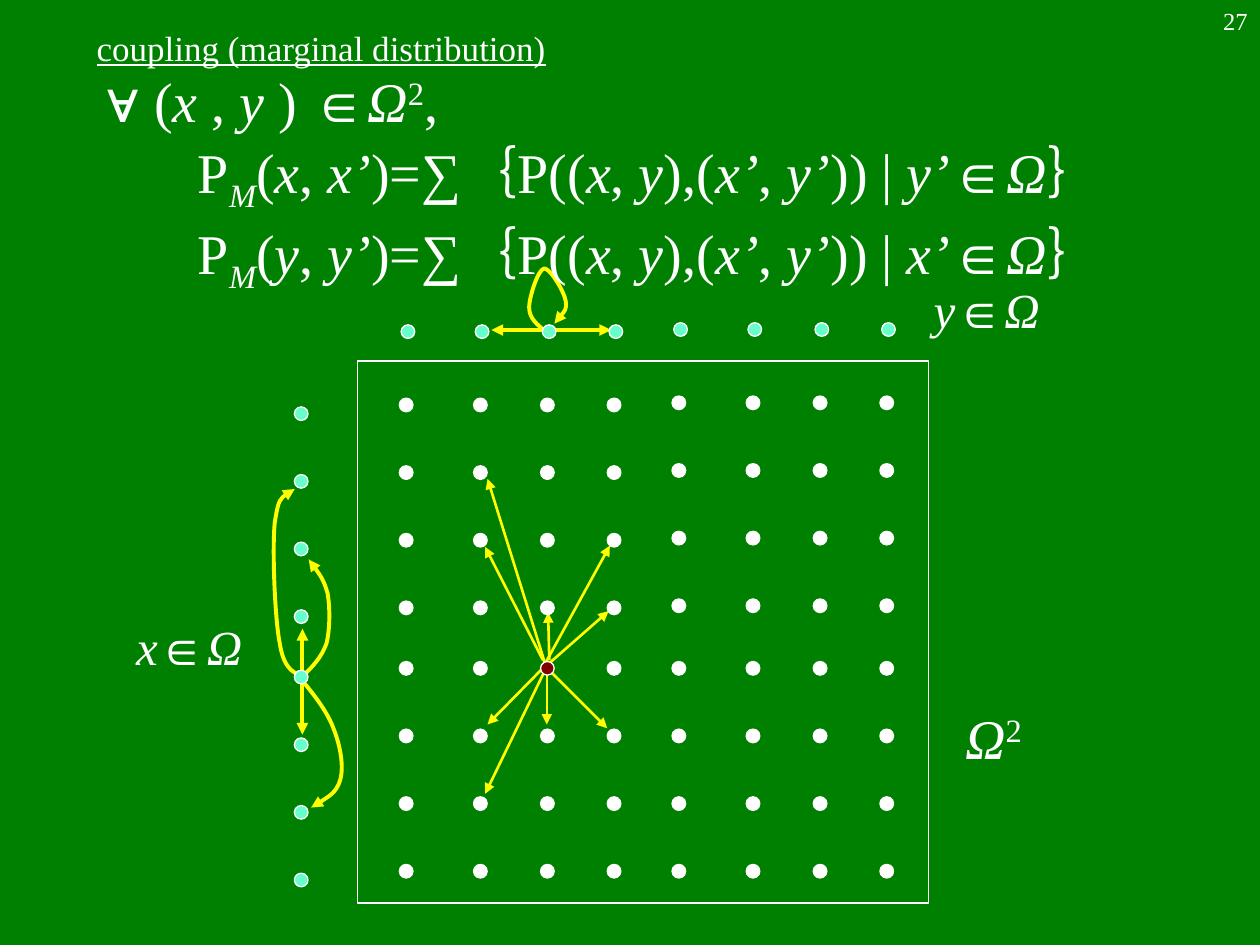
import lxml.etree
import pptx
import pptx.dml.color
import pptx.enum.shapes
import pptx.enum.text
import pptx.oxml.ns
import pptx.util

Pt = pptx.util.Pt
RGB = pptx.dml.color.RGBColor.from_string
qn = pptx.oxml.ns.qn
MSO = pptx.enum.shapes.MSO_SHAPE
ALIGN = pptx.enum.text.PP_ALIGN
COLORS = {"board": "008000", "chalk": "FFFFFF", "arrow": "FFFF00",
          "marginal": "66FFCC", "state": "800000"}
BASELINES = {"sup": "30000", "sub": "-25000"}


def add_runs(p, size, runs):
    for text, style in runs:
        r = p.add_run()
        r.text = text
        r.font.name = "Times New Roman"
        r.font.size = Pt(size)
        r.font.bold = False
        r.font.italic = "i" in style.split()
        r.font.color.rgb = RGB(COLORS["chalk"])
        for word in style.split():
            if word in BASELINES:
                r.font._element.set("baseline", BASELINES[word])


def style_arrow(sp, width):
    sp.line.color.rgb = RGB(COLORS["arrow"])
    sp.line.width = Pt(width)
    spPr = sp._element.spPr
    lxml.etree.SubElement(spPr.find(qn("a:ln")), qn("a:tailEnd"), type="triangle")
    if spPr.find(qn("a:effectLst")) is None:
        lxml.etree.SubElement(spPr, qn("a:effectLst"))


prs = pptx.Presentation()
prs.slide_width, prs.slide_height = Pt(720), Pt(540)
s = prs.slides.add_slide(prs.slide_layouts[5])
s.background.fill.solid()
s.background.fill.fore_color.rgb = RGB(COLORS["board"])

moves = [
    (311.8, 378.7, 348.5, 311.8, 1.5),
    (313.9, 377.3, 313.2, 349.9, 1.5),
    (313.2, 382.3, 347, 416.2, 1.5),
    (311.8, 382.3, 277.2, 453.6, 1.5),
    (311.8, 380.2, 278.6, 273.6, 1.5),
    (312.5, 380.2, 347.8, 349.2, 1.5),
    (312.5, 383, 312.5, 414, 1.5),
    (310.3, 377.3, 277.2, 312.5, 1.5),
    (311.8, 380.2, 278.6, 414, 1.5),
    (313.9, 188.6, 349.2, 188.6, 2.25),
    (313.9, 188.6, 280.8, 188.6, 2.25),
    (172.8, 385.9, 172.8, 359.3, 2.25),
    (172.8, 385.9, 172.8, 419.8, 2.25),
]
for x1, y1, x2, y2, width in moves:
    sp = s.shapes.add_connector(pptx.enum.shapes.MSO_CONNECTOR.STRAIGHT,
                                Pt(x1), Pt(y1), Pt(x2), Pt(y2))
    style_arrow(sp, width)

curves = [
    [(311.8, 189.4), (307.4, 185.8), (302.4, 182.2), (302.4, 175.7),
     (302.4, 169.9), (307.4, 154.1), (311, 153.4),
     (314.6, 153.4), (322.6, 167), (323.3, 172.1),
     (324, 177.1), (320.4, 180.7), (316.8, 185)],
    [(173.5, 385.9), (178.6, 380.9), (183.6, 375.8), (186.5, 367.9),
     (188.6, 360), (188.6, 347), (187.2, 339.1),
     (185, 331.2), (180.7, 325.4), (176.4, 319.7)],
    [(171.4, 385.9), (167, 383.8), (162, 381.6), (159.8, 367.2),
     (157, 352.8), (155.5, 313.9), (157, 298.8),
     (159.1, 284.4), (163.4, 281.5), (168.5, 279.4)],
    [(171.4, 387.4), (179.3, 396.7), (187.2, 406.8), (190.8, 416.9),
     (194.4, 426.2), (196.6, 437.8), (194.4, 445.7),
     (192.2, 452.9), (185, 457.2), (177.8, 461.5)],
]
for points in curves:
    start, *rest = [(Pt(x), Pt(y)) for x, y in points]
    builder = s.shapes.build_freeform(*start)
    builder.add_line_segments(rest, close=False)
    sp = builder.convert_to_shape()
    sp.shadow.inherit = False
    sp.fill.background()
    outline = sp._element.find(".//" + qn("a:path"))
    segments = outline.findall(qn("a:lnTo"))
    for i in range(0, len(segments), 3):
        bezier = lxml.etree.SubElement(outline, qn("a:cubicBezTo"))
        for segment in segments[i:i + 3]:
            bezier.append(segment[0])
            outline.remove(segment)
    style_arrow(sp, 2.25)

title = s.shapes.title
title.left, title.top, title.width, title.height = Pt(48), Pt(18), Pt(462), Pt(18)
tf = title.text_frame
tf.word_wrap = True
tf.auto_size = pptx.enum.text.MSO_AUTO_SIZE.NONE
tf.vertical_anchor = pptx.enum.text.MSO_ANCHOR.MIDDLE
p = tf.paragraphs[0]
p.alignment = ALIGN.LEFT
add_runs(p, 20, [("coupling (marginal distribution)", "")])
p.runs[0].font.underline = True

tf = s.shapes.add_textbox(Pt(54), Pt(48), Pt(666), Pt(444)).text_frame
tf.word_wrap = True
p = tf.paragraphs[0]
p.line_spacing = 0.6
add_runs(p, 32, [("∀ (", ""), ("x", "i"), (" , ", ""), ("y ", "i"), (") ∈", ""),
                 ("Ω", "i"), ("2", "sup"), (",", "")])
for kept, summed, spacing in [("x", "y’", 0.8), ("y", "x’", 0.9)]:
    p = tf.add_paragraph()
    p.line_spacing = spacing
    p.space_before = Pt(8)
    pPr = p._p.get_or_add_pPr()
    pPr.set("marL", str(Pt(58.3)))
    pPr.set("indent", str(Pt(-6.3)))
    add_runs(p, 32, [
        ("P", ""), ("M", "i sub"), ("(", ""), (kept, "i"), (", ", ""), (kept + "’", "i"),
        (")=∑｛P((", ""), ("x", "i"), (", ", ""), ("y", "i"), ("),(", ""), ("x’", "i"),
        (", ", ""), ("y’", "i"), (")) | ", ""), (summed, "i"), ("∈", ""), ("Ω", "i"),
        ("｝", "")])

steps = [0, 42.4, 80.7, 118.8]
cols = [228.2 + d for d in steps] + [384 + d for d in steps]
rows = [227.5 + 38.65 * i for i in range(4)] + [378 + 38.65 * i for i in range(4)]
dots = []
for i, x in enumerate(cols):
    for j, y in enumerate(rows):
        raised = 1.2 if i > 3 and j < 4 else 0
        color = "state" if (i, j) == (2, 4) else "chalk"
        dots.append((x, y - raised, color))
    dots.append((x + 1, 185.6 if i < 4 else 184.4, "marginal"))
dots += [(168.2, y + 5, "marginal") for y in rows]
for x, y, color in dots:
    sp = s.shapes.add_shape(MSO.OVAL, Pt(x), Pt(y), Pt(7.8), Pt(7.8))
    sp.shadow.inherit = False
    sp.fill.solid()
    sp.fill.fore_color.rgb = RGB(COLORS[color])
    sp.line.color.rgb = RGB(COLORS["chalk"])
    sp.line.width = Pt(0.75)

sp = s.shapes.add_shape(MSO.RECTANGLE, Pt(204.2), Pt(206.4), Pt(326.3), Pt(309.6))
sp.shadow.inherit = False
sp.fill.background()
sp.line.color.rgb = RGB(COLORS["chalk"])
sp.line.width = Pt(0.75)

labels = [
    (526.3, 156.2, 75, 41, 28, ALIGN.CENTER, [("y", "i"), ("∈", ""), ("Ω", "i")]),
    (70.6, 348.5, 75, 41, 28, ALIGN.CENTER, [("x", "i"), ("∈", ""), ("Ω", "i")]),
    (544.3, 398.2, 46.8, 46, 32, ALIGN.CENTER, [("Ω", "i"), ("2", "sup")]),
    (570, 0, 150, 36, 14, ALIGN.RIGHT, [("27", "")]),
]
for x, y, w, h, size, align, runs in labels:
    tf = s.shapes.add_textbox(Pt(x), Pt(y), Pt(w), Pt(h)).text_frame
    tf.word_wrap = align == ALIGN.RIGHT
    p = tf.paragraphs[0]
    p.alignment = align
    add_runs(p, size, runs)

prs.save("out.pptx")
